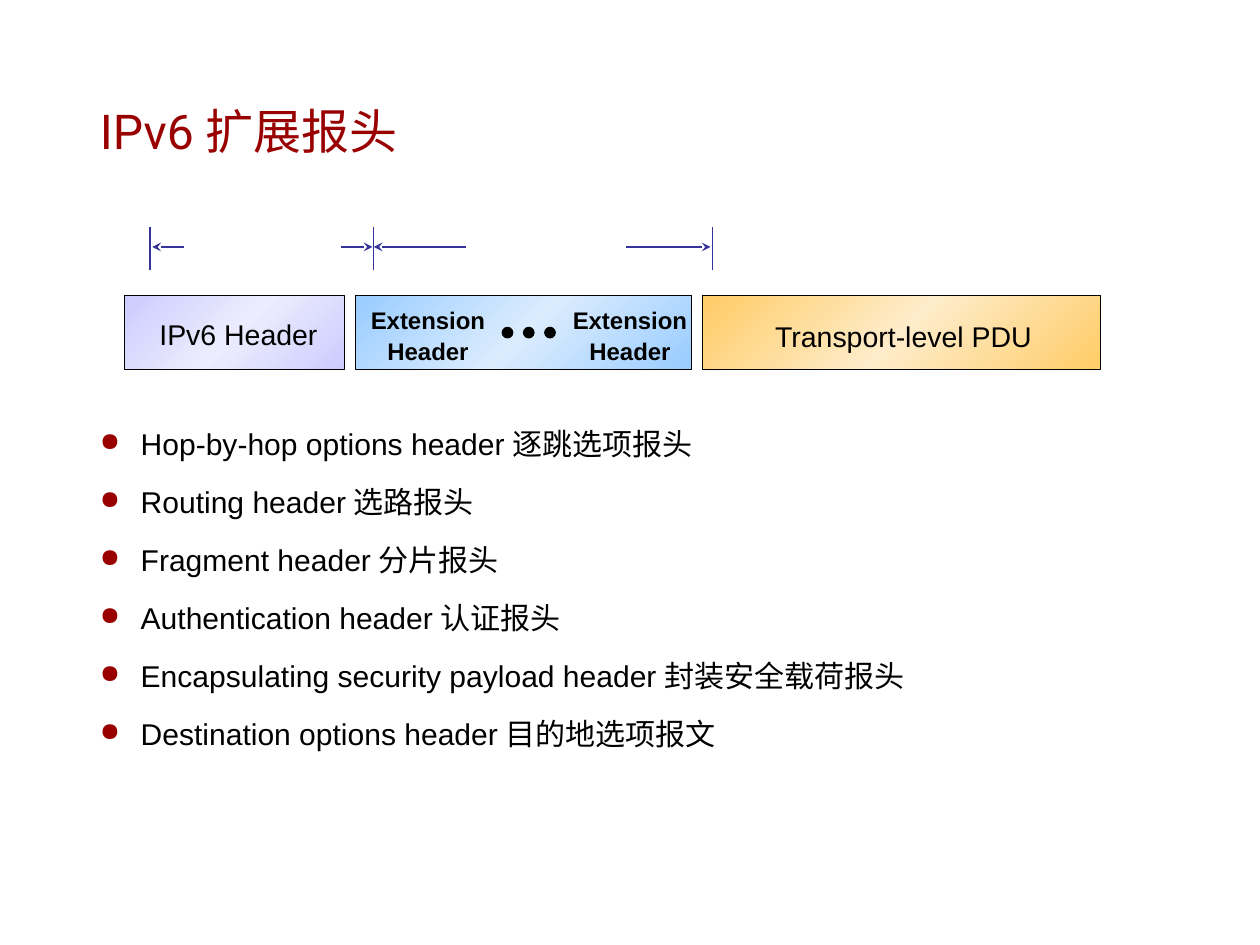
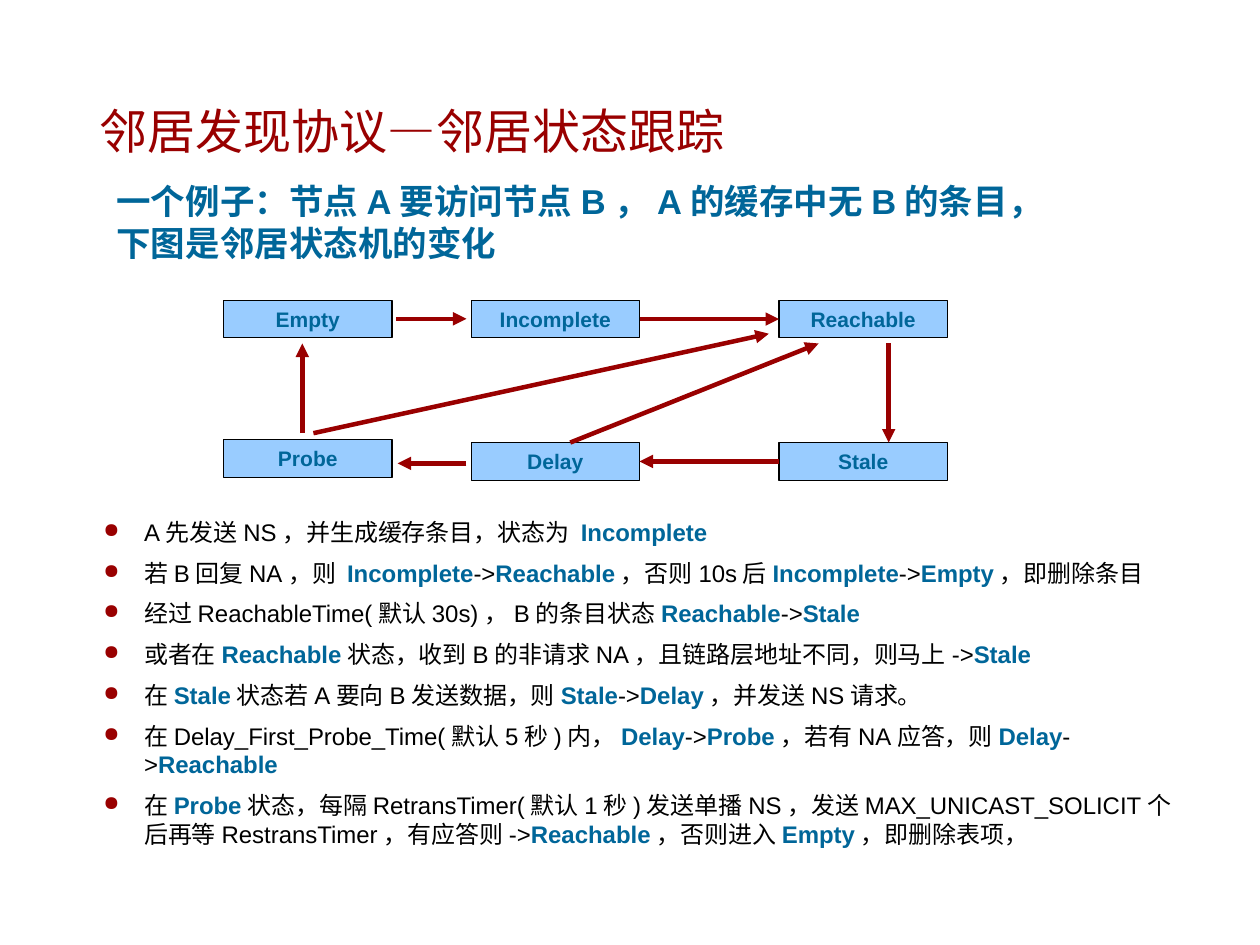
from copy import deepcopy

from lxml import etree
from pptx import Presentation
from pptx.dml.color import RGBColor
from pptx.enum.shapes import MSO_CONNECTOR, MSO_SHAPE
from pptx.enum.text import MSO_ANCHOR, PP_ALIGN
from pptx.oxml.ns import qn
from pptx.util import Cm, Pt

STRAIGHT = MSO_CONNECTOR.STRAIGHT
RECTANGLE = MSO_SHAPE.RECTANGLE
OVAL = MSO_SHAPE.OVAL
MIDDLE = MSO_ANCHOR.MIDDLE
TOP = MSO_ANCHOR.TOP
LEFT = PP_ALIGN.LEFT
CENTER = PP_ALIGN.CENTER
SIDE_LEFT, SIDE_RIGHT = 1, 3

COLORS = {
    "title": "990000",
    "text": "000000",
    "accent": "006699",
    "state": "99CCFF",
    "measure": "333399",
    "lilac": "CCCCFF",
    "lilac_light": "ECECFE",
    "sky": "99CCFF",
    "sky_light": "DBECFE",
    "amber": "FFCC66",
    "amber_light": "FEECCA",
}
BODY_FONT = "Arial"
TITLE_FONT = "Roboto"
WIDE_INSETS = (0.3, 0.15)
PLAIN_INSETS = (0.25, 0.13)

HEADER_TYPES = [
    "Hop-by-hop options header逐跳选项报头",
    "Routing header选路报头",
    "Fragment header分片报头",
    "Authentication header认证报头",
    "Encapsulating security payload header封装安全载荷报头",
    "Destination options header目的地选项报文",
]
STATE_RULES = [
    "A先发送NS，并生成缓存条目，状态为 *Incomplete*",
    "若B回复NA，则 *Incomplete*->*Reachable*，否则10s后*Incomplete*->*Empty*，即删除条目",
    "经过ReachableTime(默认30s)，B的条目状态*Reachable*->*Stale*",
    "或者在*Reachable*状态，收到B的非请求NA，且链路层地址不同，则马上->*Stale*",
    "在*Stale*状态若A要向B发送数据，则*Stale*->*Delay*，并发送NS请求。",
    "在Delay_First_Probe_Time(默认5秒)内，*Delay*->*Probe*，若有NA应答，则*Delay*->*Reachable*",
    "在*Probe*状态，每隔RetransTimer(默认1秒)发送单播NS，发送MAX_UNICAST_SOLICIT个"
    "后再等RestransTimer，有应答则->*Reachable*，否则进入*Empty*，即删除表项，",
]


def rgb(name):
    return RGBColor.from_string(COLORS[name])


def style_span(span, size, color, bold=False, font=BODY_FONT):
    span.font.name = font
    span.font.size = Pt(size)
    span.font.bold = bold
    span.font.color.rgb = rgb(color)


def prepare_frame(frame, insets, anchor=TOP, wrap=True):
    frame.word_wrap = wrap
    frame.vertical_anchor = anchor
    frame.margin_left = frame.margin_right = Cm(insets[0])
    frame.margin_top = frame.margin_bottom = Cm(insets[1])


def fill_frame(frame, text, size, color, bold=False, font=BODY_FONT, align=LEFT, spacing=1.0):
    frame.text = text
    for para in frame.paragraphs:
        para.alignment = align
        para.line_spacing = spacing
        for span in para.runs:
            style_span(span, size, color, bold, font)


def add_text(page, area, text, size, color, insets=WIDE_INSETS, anchor=TOP, wrap=True, **style):
    box = page.shapes.add_textbox(*map(Cm, area))
    prepare_frame(box.text_frame, insets, anchor, wrap)
    fill_frame(box.text_frame, text, size, color, **style)


def add_title(page, text):
    add_text(page, (2.1, 2.05, 22.2, 2.04), text, 32, "title",
             insets=PLAIN_INSETS, anchor=MIDDLE, font=TITLE_FONT)


def add_bullet(para):
    properties = para._p.get_or_add_pPr()
    properties.set("marL", str(Cm(0.96)))
    properties.set("indent", str(-Cm(0.96)))
    tint = etree.SubElement(properties, qn("a:buClr"))
    etree.SubElement(tint, qn("a:srgbClr"), val=COLORS["title"])
    etree.SubElement(properties, qn("a:buSzPct"), val="85000")
    etree.SubElement(properties, qn("a:buChar"), char="●")


def add_bullets(page, area, items, size, gap, spacing):
    frame = page.shapes.add_textbox(*map(Cm, area)).text_frame
    prepare_frame(frame, PLAIN_INSETS)
    for index, item in enumerate(items):
        para = frame.add_paragraph() if index else frame.paragraphs[0]
        add_bullet(para)
        para.line_spacing = spacing
        para.space_before = Pt(gap if index else 0)
        para.space_after = Pt(gap)
        for position, part in enumerate(item.split("*")):
            if part:
                span = para.add_run()
                span.text = part
                is_state = position % 2 == 1
                style_span(span, size, "accent" if is_state else "text", is_state)


def add_block(page, kind, area, color):
    block = page.shapes.add_shape(kind, *map(Cm, area))
    block.shadow.inherit = False
    block.fill.solid()
    block.fill.fore_color.rgb = rgb(color)
    block.line.color.rgb = rgb("text")
    block.line.width = Pt(0.75)
    return block


def add_sheen(block, color):
    block.fill.gradient()
    block.fill.gradient_angle = 135
    stop_list = block._element.spPr.find(".//" + qn("a:gsLst"))
    stop_list.append(deepcopy(stop_list[0]))
    names = (color, color + "_light", color)
    for index, (stop, name) in enumerate(zip(block.fill.gradient_stops, names)):
        stop.position = index / 2
        stop.color.rgb = rgb(name)


def add_line(page, start, end, color, width, arrow=None):
    line = page.shapes.add_connector(STRAIGHT, *map(Cm, start + end))
    line.line.color.rgb = rgb(color)
    line.line.width = Pt(width)
    if arrow:
        etree.SubElement(line.line._get_or_add_ln(), qn("a:tailEnd"), type=arrow)
    etree.SubElement(line._element.spPr, qn("a:effectLst"))
    return line


def add_state(page, name, left, top):
    state = add_block(page, RECTANGLE, (left, top, 3.96, 0.89), "state")
    prepare_frame(state.text_frame, WIDE_INSETS, MIDDLE)
    fill_frame(state.text_frame, name, 14, "accent", bold=True, align=CENTER)
    return state


def build_headers(page):
    add_title(page, "IPv6扩展报头")
    add_bullets(page, (2.1, 9.7, 22.2, 10.46), HEADER_TYPES, 20, 5, 1.2)

    top, left, gap = 6.96, 2.92, 0.26
    for width, color in ((5.18, "lilac"), (7.9, "sky"), (9.37, "amber")):
        add_sheen(add_block(page, RECTANGLE, (left, top, width, 1.73), color), color)
        left += width + gap
    add_text(page, (17.93, top, 6.65, 1.5), "Transport-level PDU", 19, "text",
             wrap=False, spacing=1.5)
    add_text(page, (3.45, 6.91, 4.32, 1.5), "IPv6 Header", 19, "text",
             wrap=False, spacing=1.5)
    for label_left in (8.31, 13.06):
        add_text(page, (label_left, top, 3.51, 1.78), "Extension\nHeader", 16, "text",
                 bold=True, align=CENTER, spacing=1.1)
    for index in range(3):
        add_block(page, OVAL, (11.81 + 0.5 * index, 7.7, 0.25, 0.25), "text")

    for tick in (3.53, 8.79, 16.76):
        add_line(page, (tick, 5.33), (tick, 6.35), "measure", 1)
    for tail, tip in ((4.32, 3.58), (8.03, 8.76), (10.95, 8.79), (14.73, 16.71)):
        add_line(page, (tail, 5.81), (tip, 5.81), "measure", 1, "stealth")


def build_states(page):
    add_title(page, "邻居发现协议—邻居状态跟踪")
    add_text(page, (2.44, 4.09, 22.89, 2.24),
             "一个例子：节点A要访问节点B，A的缓存中无B的条目，下图是邻居状态机的变化",
             23, "accent", bold=True)
    add_bullets(page, (2.18, 12.04, 26.16, 8.41), STATE_RULES, 16, 4, 1.0)

    places = {
        "Empty": (5.26, 7.06),
        "Incomplete": (11.08, 7.06),
        "Reachable": (18.32, 7.06),
        "Probe": (5.26, 10.34),
        "Delay": (11.08, 10.41),
        "Stale": (18.32, 10.41),
    }
    states = {name: add_state(page, name, *place) for name, place in places.items()}
    joined = (
        ("Incomplete", SIDE_RIGHT, "Reachable", SIDE_LEFT),
        ("Stale", SIDE_LEFT, "Delay", SIDE_RIGHT),
    )
    for source, source_side, target, target_side in joined:
        line = add_line(page, (0, 0), (1, 1), "title", 3, "triangle")
        line.begin_connect(states[source], source_side)
        line.end_connect(states[target], target_side)
    free = (
        ((9.32, 7.5), (10.97, 7.5)),
        ((20.9, 8.08), (20.9, 10.41)),
        ((7.11, 10.19), (7.11, 8.08)),
        ((7.37, 10.19), (18.08, 7.85)),
        ((10.97, 10.9), (9.35, 10.9)),
        ((13.41, 10.41), (19.25, 8.08)),
    )
    for start, end in free:
        add_line(page, start, end, "title", 3, "triangle")


def main():
    deck = Presentation()
    deck.slide_width, deck.slide_height = Cm(29.63), Cm(22.23)
    for build in (build_headers, build_states):
        build(deck.slides.add_slide(deck.slide_layouts[6]))
    deck.save("out.pptx")


if __name__ == "__main__":
    main()
